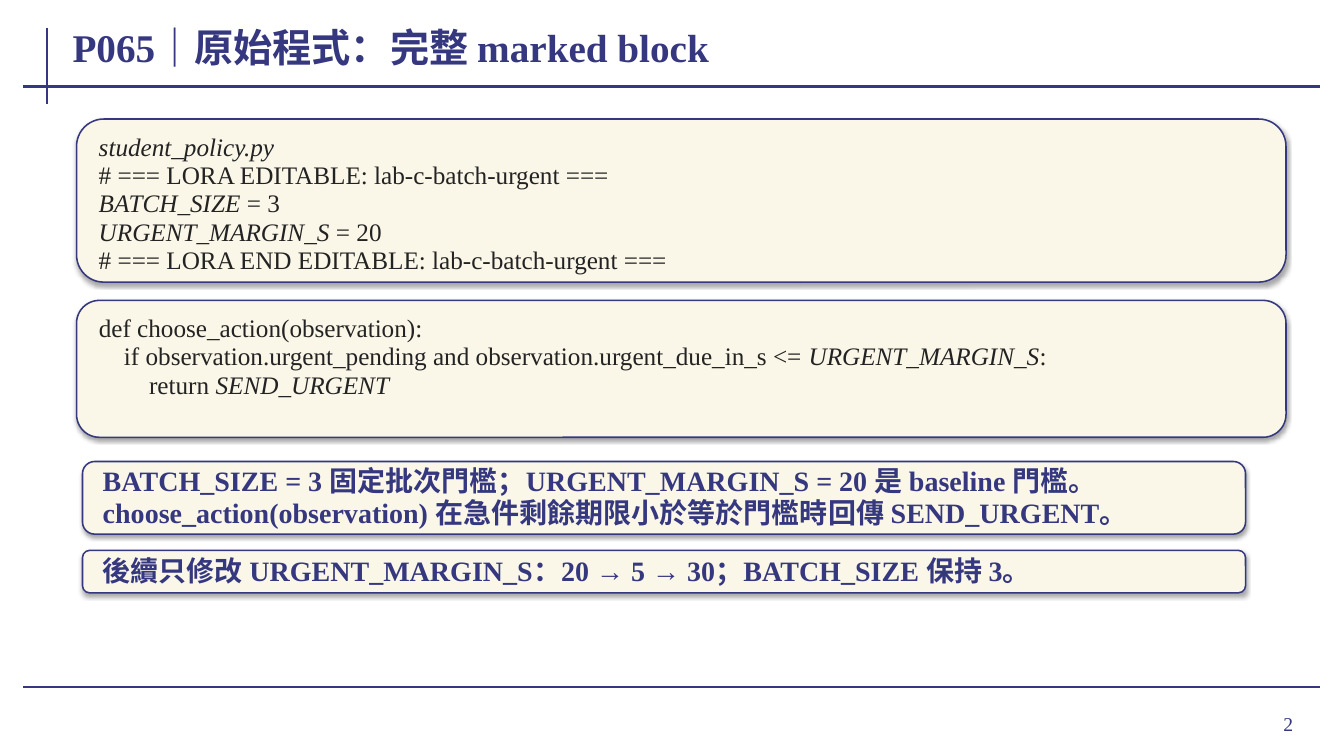
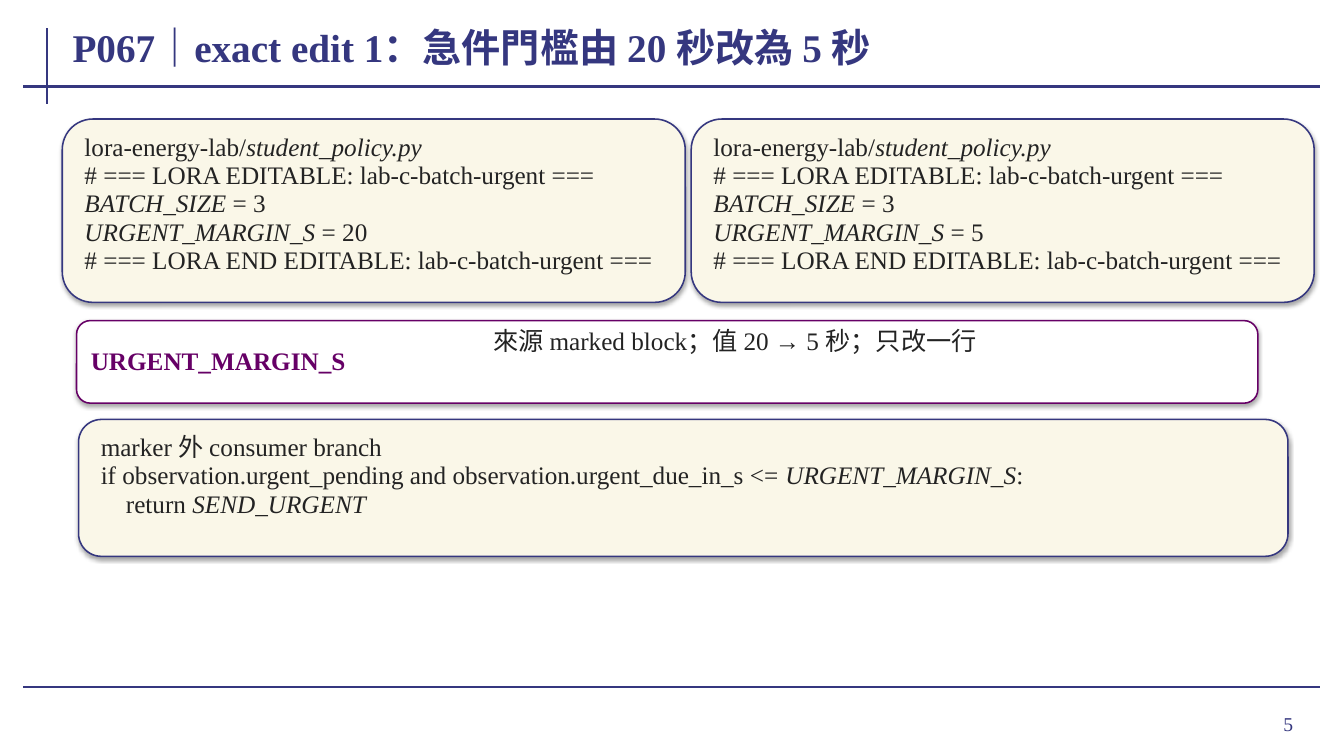
from lxml import etree
from pptx import Presentation
from pptx.dml.color import RGBColor
from pptx.enum import shapes, text
from pptx.oxml import ns
from pptx.util import Cm, Pt

NAVY, PURPLE, INK, CREAM, WHITE = "35377F", "660066", "232323", "FAF7E8", "FFFFFF"
FACE = "Times New Roman"
LEADING = 0.94
CORNER_INSET = 0.0488
SIDE_PAD = 0.1

TITLE = {"size": Pt(28), "bold": True, "color": NAVY}
CODE = {"size": Pt(18), "bold": False, "color": INK}
NOTE = {"size": Pt(20), "bold": True, "color": NAVY}
LABEL = {"size": Pt(18), "bold": True, "color": PURPLE}
PAGE = {"size": Pt(14), "bold": False, "color": NAVY}

TOP = text.MSO_ANCHOR.TOP
MIDDLE = text.MSO_ANCHOR.MIDDLE
LEFT = text.PP_ALIGN.LEFT
RIGHT = text.PP_ALIGN.RIGHT

TITLE_BOX = (1.73, 0.46, 30.35, 1.57)
PAGE_BOX = (30.38, 17.6, 2.46, 1.32)
RULES = [
    (1.19, 0.71, 1.19, 2.62),
    (0.58, 2.18, 33.27, 2.18),
    (0.58, 17.32, 33.27, 17.32),
]


def rgb(value):
    return RGBColor.from_string(value)


def lengths(box):
    return [Cm(value) for value in box]


def write(frame, lines, style, anchor=TOP, align=LEFT, side=SIDE_PAD, top=0):
    layout = {
        "word_wrap": True,
        "auto_size": text.MSO_AUTO_SIZE.NONE,
        "vertical_anchor": anchor,
        "margin_left": Cm(side),
        "margin_right": Cm(side),
        "margin_top": Cm(top),
        "margin_bottom": Cm(0),
    }
    for name, value in layout.items():
        setattr(frame, name, value)
    for index, line in enumerate(lines):
        paragraph = frame.add_paragraph() if index else frame.paragraphs[0]
        paragraph.alignment = align
        paragraph.line_spacing = LEADING
        for part, words in enumerate(line.split("*")):
            if words:
                run = paragraph.add_run()
                run.text = words
                format_font(run.font, style, italic=part % 2 == 1)


def format_font(font, style, italic):
    values = {"name": FACE, "size": style["size"], "bold": style["bold"], "italic": italic}
    for name, value in values.items():
        setattr(font, name, value)
    font.color.rgb = rgb(style["color"])


def cast_shadow(panel):
    panel.shadow.inherit = False
    effects = panel._element.spPr.find(ns.qn("a:effectLst"))
    shadow = etree.SubElement(
        effects, ns.qn("a:outerShdw"), blurRad=str(Pt(3.1)), dist=str(Pt(1.8)),
        dir="5400000", algn="t", rotWithShape="0",
    )
    black = etree.SubElement(shadow, ns.qn("a:srgbClr"), val="000000")
    etree.SubElement(black, ns.qn("a:alpha"), val="35000")


def add_panel(slide, box, lines, style, anchor, side, top=0.0, fill=CREAM, edge=NAVY):
    panel = slide.shapes.add_shape(shapes.MSO_SHAPE.ROUNDED_RECTANGLE, *lengths(box))
    panel.fill.solid()
    panel.fill.fore_color.rgb = rgb(fill)
    panel.line.color.rgb = rgb(edge)
    panel.line.width = Pt(1.1)
    cast_shadow(panel)
    corner = box[3] * CORNER_INSET
    write(panel.text_frame, lines, style, anchor,
          side=side - corner, top=max(top - corner, 0))


def add_code(slide, box, lines):
    add_panel(slide, box, lines, CODE, TOP, side=0.56, top=0.36)


def add_note(slide, box, sentence):
    add_panel(slide, box, [sentence], NOTE, MIDDLE, side=0.51)


def add_change(slide, box, parameter, detail):
    left, top, width, height = box
    add_panel(slide, box, [parameter], LABEL, MIDDLE, side=0.36, fill=WHITE, edge=PURPLE)
    detail_box = (left + 10.41, top + 0.18, width - 10.72, height - 0.35)
    caption = slide.shapes.add_textbox(*lengths(detail_box))
    write(caption.text_frame, [detail], CODE)


def add_rule(slide, ends):
    rule = slide.shapes.add_connector(shapes.MSO_CONNECTOR.STRAIGHT, *lengths(ends))
    rule.line.color.rgb = rgb(NAVY)
    rule.line.width = Pt(1.5)
    etree.SubElement(rule._element.spPr, ns.qn("a:effectLst"))


def start_slide(deck, heading, number):
    slide = deck.slides.add_slide(deck.slide_layouts[5])
    title = slide.shapes.title
    for name, value in zip(("left", "top", "width", "height"), lengths(TITLE_BOX)):
        setattr(title, name, value)
    write(title.text_frame, [heading], TITLE, MIDDLE)
    for ends in RULES:
        add_rule(slide, ends)
    page = slide.shapes.add_textbox(*lengths(PAGE_BOX))
    write(page.text_frame, [str(number)], PAGE, MIDDLE, RIGHT, side=0.25)
    return slide


def marked_block(source, margin):
    return [
        source,
        "# === LORA EDITABLE: lab-c-batch-urgent ===",
        "*BATCH_SIZE* = 3",
        f"*URGENT_MARGIN_S* = {margin}",
        "# === LORA END EDITABLE: lab-c-batch-urgent ===",
    ]


def urgent_branch(indent=""):
    return [
        indent + "if observation.urgent_pending and observation.urgent_due_in_s <= *URGENT_MARGIN_S*:",
        indent + "    return *SEND_URGENT*",
    ]


def build_source_slide(deck):
    slide = start_slide(deck, "P065｜原始程式：完整 marked block", 2)
    add_code(slide, (1.93, 3, 30.48, 4.11), marked_block("*student_policy.py*", 20))
    add_code(slide, (1.93, 7.57, 30.48, 3.45),
             ["def choose_action(observation):"] + urgent_branch("    "))
    add_note(slide, (2.08, 11.63, 29.31, 1.83),
             "BATCH_SIZE = 3 固定批次門檻；URGENT_MARGIN_S = 20 是 baseline 門檻。"
             "choose_action(observation) 在急件剩餘期限小於等於門檻時回傳 SEND_URGENT。")
    add_note(slide, (2.08, 13.87, 29.31, 1.07),
             "後續只修改 URGENT_MARGIN_S：20 → 5 → 30；BATCH_SIZE 保持 3。")


def build_edit_slide(deck):
    slide = start_slide(deck, "P067｜exact edit 1：急件門檻由 20 秒改為 5 秒", 5)
    width, gap = 15.7, 0.15
    for column, margin in enumerate((20, 5)):
        add_code(slide, (1.57 + column * (width + gap), 3, width, 4.62),
                 marked_block("lora-energy-lab/*student_policy.py*", margin))
    add_change(slide, (1.93, 8.08, 29.77, 2.08), "URGENT_MARGIN_S",
               "來源 marked block；值 20 → 5 秒；只改一行")
    add_code(slide, (1.98, 10.57, 30.48, 3.45),
             ["marker 外 consumer branch"] + urgent_branch())


def main():
    deck = Presentation()
    deck.slide_width, deck.slide_height = Cm(33.87), Cm(19.05)
    build_source_slide(deck)
    build_edit_slide(deck)
    deck.save("out.pptx")


if __name__ == "__main__":
    main()
